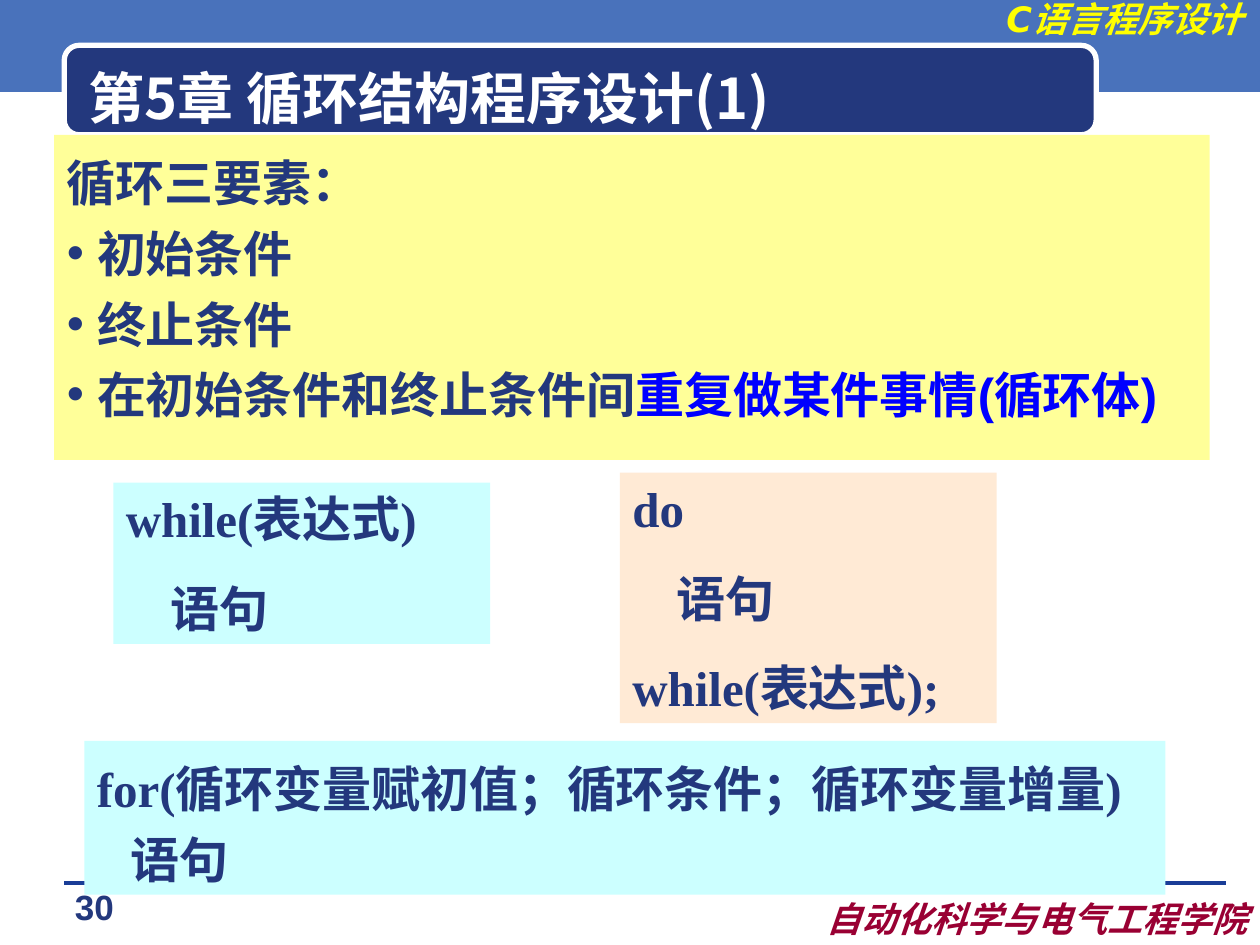
from pptx import Presentation
from pptx.dml.color import RGBColor
from pptx.enum.shapes import MSO_CONNECTOR as CONNECTOR, MSO_SHAPE as SHAPE
from pptx.enum.text import MSO_ANCHOR as ANCHOR, MSO_AUTO_SIZE as AUTO_SIZE, PP_ALIGN as ALIGN
from pptx.oxml.ns import qn
from pptx.util import Inches, Pt
from lxml.etree import SubElement

NAVY = RGBColor(0x23, 0x38, 0x7D)
BLUE = RGBColor(0x49, 0x72, 0xBB)
RULE_BLUE = RGBColor(0x1A, 0x3D, 0x97)
BRIGHT_BLUE = RGBColor(0x00, 0x00, 0xFF)
WHITE = RGBColor(0xFF, 0xFF, 0xFF)
YELLOW = RGBColor(0xFF, 0xFF, 0x00)
PALE_YELLOW = RGBColor(0xFF, 0xFF, 0x99)
CYAN = RGBColor(0xCC, 0xFF, 0xFF)
PEACH = RGBColor(0xFF, 0xEA, 0xD5)
CRIMSON = RGBColor(0x99, 0x00, 0x33)
CHINESE_FONT = "Noto Sans CJK SC"


def add_text(paragraph, text, color, font):
    run = paragraph.add_run()
    run.text = text
    run.font.color.rgb = color
    for name, value in font.items():
        setattr(run.font, name, value)
    SubElement(run._r.get_or_add_rPr(), qn("a:ea"), typeface=CHINESE_FONT)


def add_box(kind, place, fill):
    shape = slide.shapes.add_shape(kind, *map(Inches, place))
    shape.shadow.inherit = False
    shape.fill.solid()
    shape.fill.fore_color.rgb = fill
    shape.line.fill.background()
    return shape


presentation = Presentation()
presentation.slide_width = Inches(10)
presentation.slide_height = Inches(7.5)
slide = presentation.slides.add_slide(presentation.slide_layouts[1])
title, body = slide.placeholders

add_box(SHAPE.RECTANGLE, (0, -0.03, 10, 0.76), BLUE)

rule = slide.shapes.add_connector(
    CONNECTOR.STRAIGHT, Inches(0.51), Inches(7.01), Inches(9.73), Inches(7.01))
rule.line.color.rgb = RULE_BLUE
rule.line.width = Pt(0)
SubElement(rule._element.spPr, qn("a:effectLst"))

title_frame = add_box(SHAPE.ROUNDED_RECTANGLE, (0.51, 0.36, 8.19, 0.71), NAVY)
title_frame.line.color.rgb = WHITE
title_frame.line.width = Pt(3)

label_font = {"size": Pt(20), "bold": True, "italic": True, "name": "DejaVu Sans"}
number_font = {"size": Pt(20), "bold": True, "name": "Arial"}
labels = [
    ("C语言程序设计", (7.44, -0.07, 2.52, 0.44), ALIGN.RIGHT, YELLOW, label_font),
    ("自动化科学与电气工程学院", (5.96, 7.07, 4.04, 0.44), ALIGN.RIGHT, CRIMSON, label_font),
    ("30", (0.2, 6.98, 1.1, 0.43), ALIGN.CENTER, NAVY, number_font),
]
for text, place, alignment, color, font in labels:
    label = slide.shapes.add_textbox(*map(Inches, place))
    label.text_frame.word_wrap = True
    paragraph = label.text_frame.paragraphs[0]
    paragraph.alignment = alignment
    add_text(paragraph, text, color, font)

placeholder_places = [(title, (0.6, 0.46, 7.83, 0.62)), (body, (0.43, 1.07, 9.17, 2.58))]
for placeholder, place in placeholder_places:
    for name, value in zip(("left", "top", "width", "height"), place):
        setattr(placeholder, name, Inches(value))
    placeholder.text_frame.auto_size = AUTO_SIZE.NONE
    slide.shapes._spTree.append(placeholder._element)

title.text_frame.vertical_anchor = ANCHOR.MIDDLE
paragraph = title.text_frame.paragraphs[0]
paragraph.alignment = ALIGN.LEFT
add_text(paragraph, "第5章 循环结构程序设计(1)", WHITE,
         {"size": Pt(32), "bold": True, "name": CHINESE_FONT})

body.fill.solid()
body.fill.fore_color.rgb = PALE_YELLOW
body_font = {"size": Pt(28), "bold": True, "name": "Arial"}
elements = [
    (False, [("循环三要素：", NAVY)]),
    (True, [("初始条件", NAVY)]),
    (True, [("终止条件", NAVY)]),
    (True, [("在初始条件和终止条件间", NAVY), ("重复做某件事情(循环体)", BRIGHT_BLUE)]),
]
for index, (bulleted, runs) in enumerate(elements):
    paragraph = body.text_frame.paragraphs[0] if index == 0 else body.text_frame.add_paragraph()
    indent = Inches(0.24) if bulleted else 0
    properties = paragraph._p.get_or_add_pPr()
    properties.set("marL", str(indent))
    properties.set("indent", str(-indent))
    if bulleted:
        SubElement(properties, qn("a:buChar"), char="•")
    else:
        SubElement(properties, qn("a:buNone"))
    paragraph.line_spacing = 1.2
    paragraph.space_before = Pt(0)
    for text, color in runs:
        add_text(paragraph, text, color, body_font)

code_font = {"size": Pt(28), "bold": True, "name": "Times New Roman"}
spaced = {"space_before": Pt(17.5)}
wide = {"line_spacing": 1.2}
code_boxes = [
    ((0.9, 3.83, 2.99, 1.28), CYAN, ANCHOR.TOP, spaced,
     ["while(表达式)", "    语句"]),
    ((4.92, 3.75, 2.99, 1.99), PEACH, ANCHOR.TOP, spaced,
     ["do", "    语句", "while(表达式);"]),
    ((0.67, 5.88, 8.58, 1.22), CYAN, ANCHOR.MIDDLE, wide,
     ["for(循环变量赋初值；循环条件；循环变量增量)", "   语句"]),
]
for place, fill, anchor, spacing, lines in code_boxes:
    frame = add_box(SHAPE.RECTANGLE, place, fill).text_frame
    frame.word_wrap = True
    frame.vertical_anchor = anchor
    for index, line in enumerate(lines):
        paragraph = frame.paragraphs[0] if index == 0 else frame.add_paragraph()
        paragraph.alignment = ALIGN.LEFT
        for name, value in spacing.items():
            setattr(paragraph, name, value)
        if index == 0:
            paragraph.space_before = Pt(0)
        add_text(paragraph, line, NAVY, code_font)

presentation.save("out.pptx")
